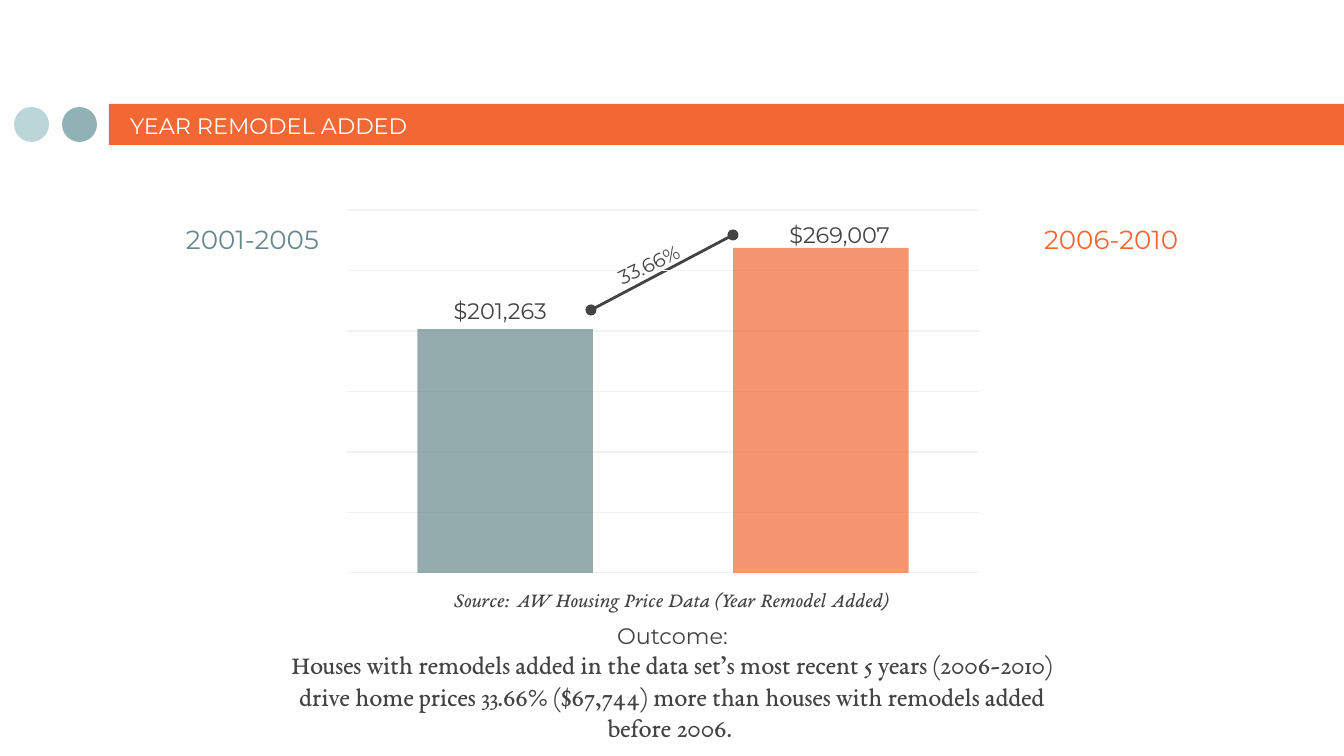
"""Build the slide on home prices by year of remodel."""
import lxml.etree
import pptx
import pptx.chart.data
import pptx.dml.color
import pptx.enum.chart
import pptx.enum.shapes
import pptx.enum.text
import pptx.oxml
import pptx.oxml.ns
import pptx.util

EMU_PER_PX = 914400 / 134.4
SANS, SERIF = "Montserrat", "EB Garamond"
DARK, TEAL, ORANGE, WHITE = "434343", "67898D", "F26835", "FFFFFF"
ALIGN = pptx.enum.text.PP_ALIGN
ANCHOR = pptx.enum.text.MSO_ANCHOR
SHAPE = pptx.enum.shapes.MSO_SHAPE
qn = pptx.oxml.ns.qn


def color(hex_value):
    return pptx.dml.color.RGBColor.from_string(hex_value)


def write(box, place, lines, align, margins, wrap=True, anchor=ANCHOR.TOP):
    for name, length in zip(("left", "top", "width", "height"), place):
        setattr(box, name, round(length * EMU_PER_PX))
    frame = box.text_frame
    sides = ("margin_left", "margin_top", "margin_right", "margin_bottom")
    formats = {"word_wrap": wrap, "auto_size": pptx.enum.text.MSO_AUTO_SIZE.NONE,
               "vertical_anchor": anchor}
    formats.update((side, round(px * EMU_PER_PX)) for side, px in zip(sides, margins))
    for name, value in formats.items():
        setattr(frame, name, value)
    for number, (text, size, font, hex_value, italic) in enumerate(lines):
        para = frame.add_paragraph() if number else frame.paragraphs[0]
        para.alignment = align
        span = para.add_run()
        span.text = text
        span.font.color.rgb = color(hex_value)
        for name, value in {"name": font, "size": pptx.util.Pt(size), "italic": italic}.items():
            setattr(span.font, name, value)


deck = pptx.Presentation()
deck.slide_width = round(1344 * EMU_PER_PX)
deck.slide_height = round(756 * EMU_PER_PX)
page = deck.slides.add_slide(deck.slide_layouts[5])

for kind, place, fill in (
    (SHAPE.RECTANGLE, (109, 104, 1277, 41), ORANGE),
    (SHAPE.OVAL, (62, 107, 35, 35), "90B2B6"),
    (SHAPE.OVAL, (14, 107, 35, 35), "BAD6D9"),
):
    shape = page.shapes.add_shape(kind, *(round(px * EMU_PER_PX) for px in place))
    shape.shadow.inherit = False
    shape.fill.solid()
    shape.fill.fore_color.rgb = color(fill)
    shape.line.fill.background()

title = page.shapes.title
page.shapes._spTree.append(title._element)
write(title, (117, 106, 737, 46), [("YEAR REMODEL ADDED", 12, SANS, WHITE, False)],
      ALIGN.LEFT, (13, 13, 13, 13), anchor=ANCHOR.BOTTOM)

ends = (591, 310, 733, 235)
growth_line = page.shapes.add_connector(
    pptx.enum.shapes.MSO_CONNECTOR.STRAIGHT, *(round(px * EMU_PER_PX) for px in ends))
growth_line.line.color.rgb = color(DARK)
growth_line.line.width = pptx.util.Pt(1.5)
outline = growth_line.line._get_or_add_ln()
for tag in ("a:headEnd", "a:tailEnd"):
    lxml.etree.SubElement(outline, qn(tag), type="oval")
lxml.etree.SubElement(growth_line._element.spPr, qn("a:effectLst"))

prices = pptx.chart.data.CategoryChartData()
prices.categories = ["1", "2"]
prices.add_series("Series 1", (75, 100))
place = (327, 174, 672, 403)
chart = page.shapes.add_chart(
    pptx.enum.chart.XL_CHART_TYPE.COLUMN_CLUSTERED,
    *(round(px * EMU_PER_PX) for px in place), prices).chart
chart.has_legend = chart.has_title = False
chart.font.name = "Arial"
chart.font.size = pptx.util.Pt(10)
chart.font.color.rgb = color("000000")
chart.category_axis.visible = False
axis = chart.value_axis
for name, value in {"visible": False, "minimum_scale": 0, "maximum_scale": 111.6,
                    "major_unit": 18.6, "has_major_gridlines": True}.items():
    setattr(axis, name, value)
axis.major_gridlines.format.line.color.rgb = color("F2F2F2")
axis.major_gridlines.format.line.width = pptx.util.Pt(0.75)

plot = chart.plots[0]
for name, value in {"gap_width": 80, "overlap": 25, "vary_by_categories": False}.items():
    setattr(plot, name, value)
series = plot.series[0]
for part, fill_color in ((series, TEAL), (series.points[1], ORANGE)):
    part.format.fill.solid()
    part.format.fill.fore_color.rgb = color(fill_color)
for tint in series._element.iter(qn("a:srgbClr")):
    lxml.etree.SubElement(tint, qn("a:alpha"), val="70000")

plot_area = chart._chartSpace.chart.plotArea
for old_layout in plot_area.findall(qn("c:layout")):
    plot_area.remove(old_layout)
layout = pptx.oxml.parse_xml(f'<c:layout {pptx.oxml.ns.nsdecls("c")}/>')
manual = lxml.etree.SubElement(layout, qn("c:manualLayout"))
for tag, value in (("layoutTarget", "inner"), ("xMode", "edge"), ("yMode", "edge"),
                   ("x", "0.03"), ("y", "0.09"), ("w", "0.94"), ("h", "0.9")):
    lxml.etree.SubElement(manual, qn(f"c:{tag}"), val=value)
plot_area.insert(0, layout)

outcome = ("Houses with remodels added in the data set’s most recent 5 years (2006-2010) "
           "drive home prices 33.66% ($67,744) more than houses with remodels added "
           "before 2006. ")
PERIOD, LABEL, NOTE = (13, 13, 13, 13), (13, 7, 13, 7), (0, 1, 0, 0)
for place, lines, align, margins, wrap, rotation in (
    ((429, 586, 486, 73),
     [("Source: AW Housing Price Data (Year Remodel Added)", 11, SERIF, DARK, True)],
     ALIGN.CENTER, NOTE, True, 0),
    ((80, 210, 252, 35), [("2001-2005", 14, SANS, TEAL, False)], ALIGN.RIGHT, PERIOD, True, 0),
    ((1031, 210, 252, 35), [("2006-2010", 14, SANS, ORANGE, False)], ALIGN.LEFT, PERIOD, True, 0),
    ((427, 290, 133, 41), [(" $201,263", 12, SANS, DARK, False)], ALIGN.RIGHT, LABEL, False, 0),
    ((762, 214, 141, 41), [(" $269,007", 12, SANS, DARK, False)], ALIGN.RIGHT, LABEL, False, 0),
    ((593, 248, 102, 39), [("33.66%", 10.5, SANS, DARK, False)], ALIGN.RIGHT, LABEL, False, 335),
    ((268, 621, 809, 73),
     [("Outcome:", 12, SANS, DARK, False), (outcome, 14, SERIF, DARK, False)],
     ALIGN.CENTER, NOTE, True, 0),
):
    box = page.shapes.add_textbox(0, 0, 0, 0)
    write(box, place, lines, align, margins, wrap)
    box.rotation = rotation

deck.save("out.pptx")
